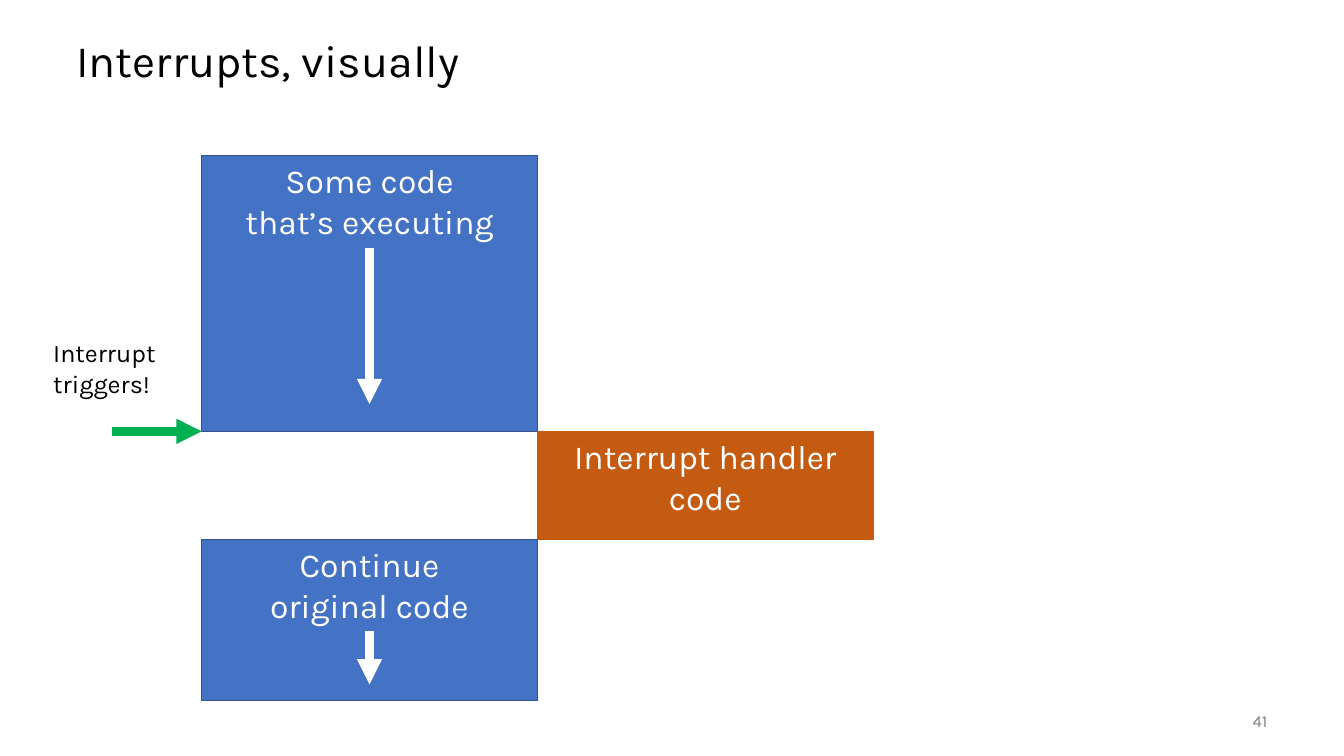
from lxml.etree import SubElement
from pptx import Presentation
from pptx.dml.color import RGBColor
from pptx.enum.shapes import MSO_CONNECTOR as Line, MSO_SHAPE as Shape
from pptx.enum.text import MSO_ANCHOR as Anchor, PP_ALIGN as Align
from pptx.oxml.ns import qn
from pptx.util import Inches, Pt

BLACK = RGBColor(0x00, 0x00, 0x00)
WHITE = RGBColor(0xFF, 0xFF, 0xFF)
GRAY = RGBColor(0x80, 0x80, 0x80)
BLUE = RGBColor(0x44, 0x72, 0xC4)
NAVY = RGBColor(0x32, 0x54, 0x91)
ORANGE = RGBColor(0xC5, 0x5A, 0x11)
GREEN = RGBColor(0x00, 0xB0, 0x50)


class Board:
    """Holds the slide and the font, and draws each kind of element."""

    def __init__(self, slide, font):
        self.slide = slide
        self.font = font

    def letter(self, shape, text, size, color, align, anchor):
        frame = shape.text_frame
        frame.word_wrap = True
        frame.vertical_anchor = anchor
        para = frame.paragraphs[0]
        para.alignment = align
        for i, part in enumerate(text.split("\n")):
            if i:
                para.add_line_break()
            run = para.add_run()
            run.text = part
            run.font.name = self.font
            run.font.size = Pt(size)
            run.font.color.rgb = color
        return para

    def label(self, text, x, y, w, h, size, color=BLACK,
              align=Align.LEFT, anchor=Anchor.TOP):
        box = self.slide.shapes.add_textbox(
            Inches(x), Inches(y), Inches(w), Inches(h))
        return self.letter(box, text, size, color, align, anchor)

    def block(self, text, x, y, w, h, fill, edge):
        rect = self.slide.shapes.add_shape(
            Shape.RECTANGLE, Inches(x), Inches(y), Inches(w), Inches(h))
        rect.shadow.inherit = False
        rect.fill.solid()
        rect.fill.fore_color.rgb = fill
        rect.line.color.rgb = edge
        rect.line.width = Pt(1)
        self.letter(rect, text, 24, WHITE, Align.CENTER, Anchor.TOP)

    def arrow(self, x1, y1, x2, y2, color):
        link = self.slide.shapes.add_connector(
            Line.STRAIGHT, Inches(x1), Inches(y1), Inches(x2), Inches(y2))
        link.line.color.rgb = color
        link.line.width = Pt(6)
        props = link._element.spPr
        SubElement(props.find(qn("a:ln")), qn("a:tailEnd"), type="triangle")
        SubElement(props, qn("a:effectLst"))


def main():
    deck = Presentation()
    deck.slide_width, deck.slide_height = Inches(13.33), Inches(7.5)
    board = Board(deck.slides.add_slide(deck.slide_layouts[6]), "Karla")

    # Title and page number
    title = board.label("Interrupts, visually", 0.66, 0.25, 12, 0.75, 32,
                        anchor=Anchor.MIDDLE)
    title.line_spacing = 0.9
    board.label("41", 11.67, 6.95, 1, 0.4, 12, GRAY, Align.RIGHT, Anchor.MIDDLE)

    # Blocks step down the time axis; the handler sits one column right
    left, wide = 2, 3.33
    mid = left + wide / 2
    start, stop, resume, end = 1.54, 4.28, 5.35, 6.95
    board.block("Some code\nthat’s executing",
                left, start, wide, stop - start, BLUE, NAVY)
    board.block("Interrupt handler\ncode",
                left + wide, stop, wide, resume - stop, ORANGE, ORANGE)
    board.block("Continue\noriginal code",
                left, resume, wide, end - resume, BLUE, NAVY)

    # Flow of execution
    for top, tip in ((2.46, 4.01), (6.26, 6.79)):
        board.arrow(mid, top, mid, tip, WHITE)

    # Trigger
    board.label("Interrupt triggers!", 0.43, 3.3, 1.57, 0.71, 18)
    board.arrow(1.11, stop, left, stop, GREEN)

    deck.save("out.pptx")


if __name__ == "__main__":
    main()
